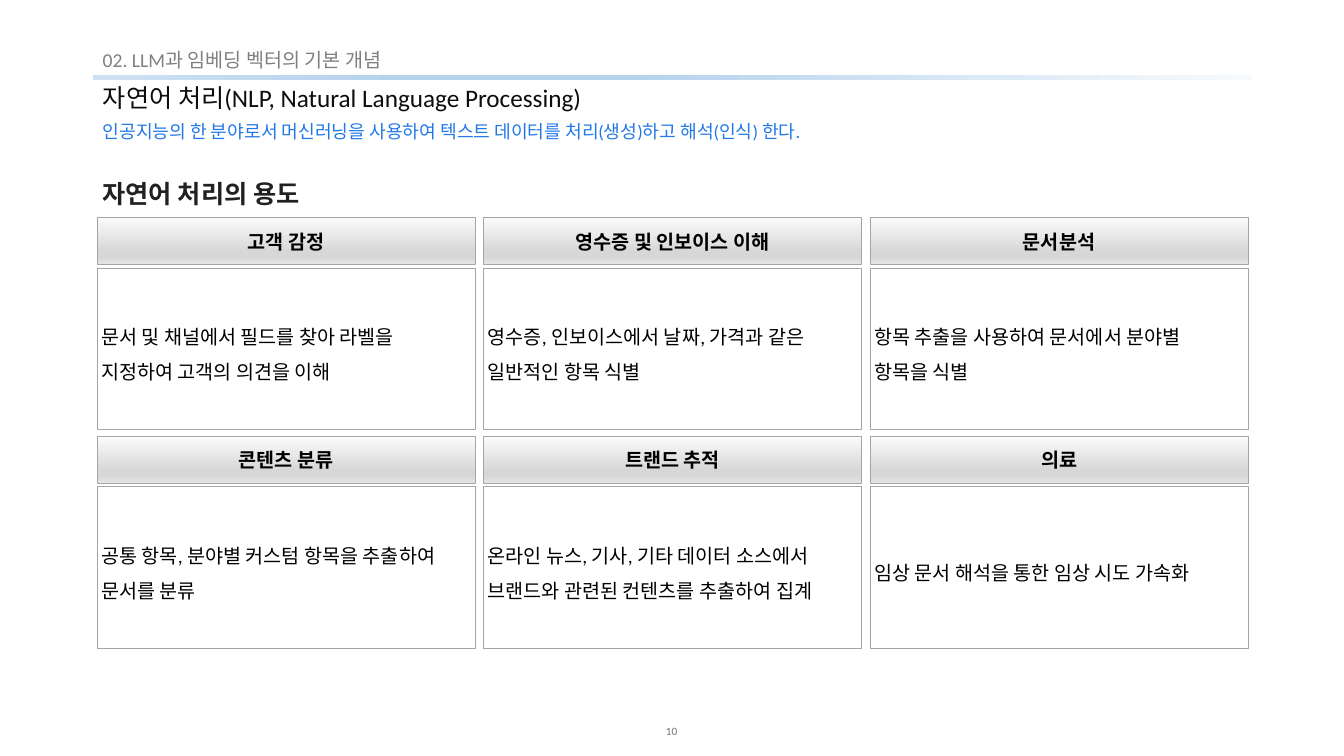
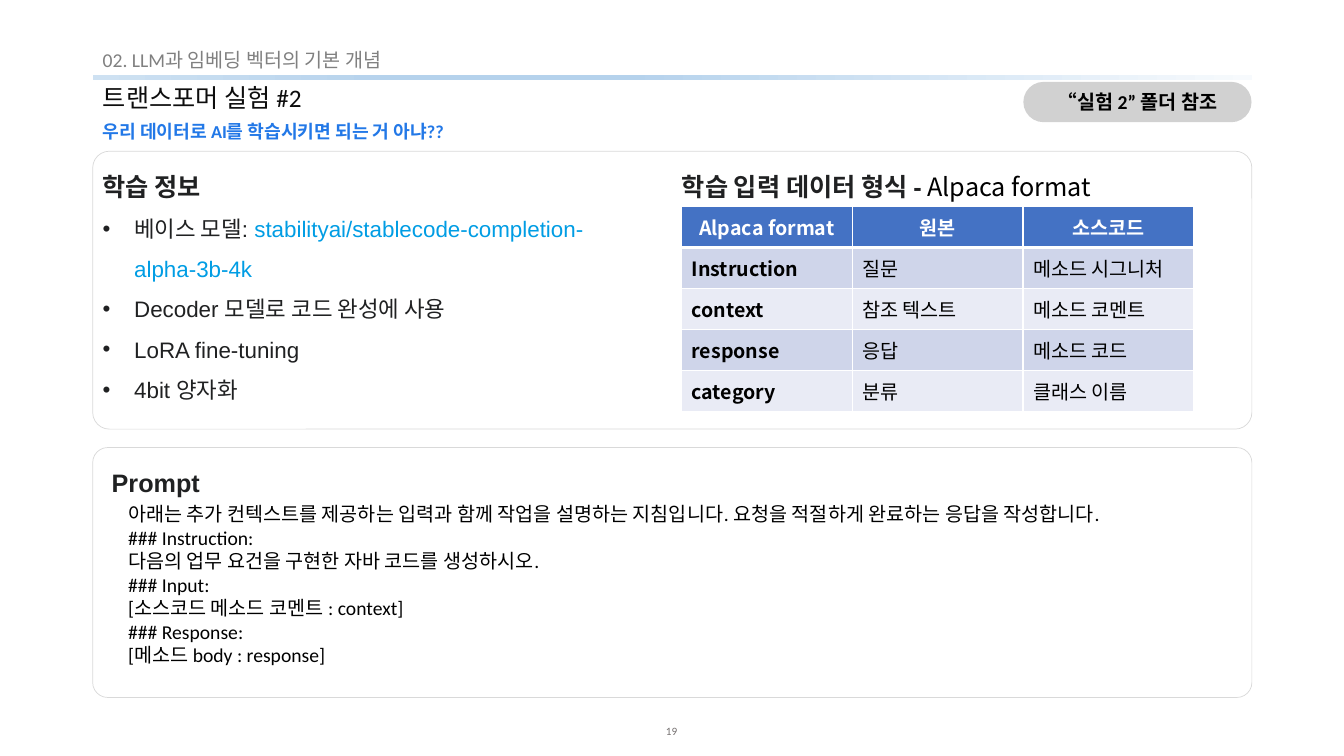
from dataclasses import dataclass
from itertools import product

from lxml import etree
from pptx import Presentation
from pptx.dml.color import RGBColor
from pptx.enum.shapes import MSO_SHAPE
from pptx.enum.text import MSO_ANCHOR, MSO_AUTO_SIZE, PP_ALIGN
from pptx.oxml.ns import qn
from pptx.util import Pt

RECT, ROUNDED = MSO_SHAPE.RECTANGLE, MSO_SHAPE.ROUNDED_RECTANGLE
LEFT, CENTER = PP_ALIGN.LEFT, PP_ALIGN.CENTER
TOP, MIDDLE = MSO_ANCHOR.TOP, MSO_ANCHOR.MIDDLE
NO_AUTOFIT = MSO_AUTO_SIZE.NONE

# Shared style
LATIN, HEADING_FONT, KOREAN = "Calibri", "Arial", "Noto Sans CJK KR"
BLACK, WHITE, INK, TITLE_INK = "000000", "FFFFFF", "202122", "0D0D0D"
SECTION_GREY, NUMBER_GREY, EDGE_GREY, PANEL_EDGE = "808080", "767171", "A5A5A5", "D9D9D9"
BLUE, MODEL_BLUE, TABLE_BLUE = "2278E7", "009DE4", "4472C4"
TABLE_BANDS = ("CFD5EA", "E9EBF5")
BAND_STOPS = ((0, "F7FAFD"), (54, "B5D2EC"), (73, "B5D2EC"), (100, "CEE1F2"))
CARD_STOPS = ((0, "FAFAFA"), (74, "D7D7D7"), (83, "D7D7D7"), (100, "E4E4E4"))
MARGIN, CONTENT_WIDTH = 66.25, 828
WIDE_INSETS, NARROW_INSETS = (7.2, 3.6, 7.2, 3.6), (2.88, 3.6, 2.88, 3.6)
SECTION = "02. LLM과 임베딩 벡터의 기본 개념"


@dataclass(frozen=True)
class Box:
    left: float
    top: float
    width: float
    height: float

    def lengths(self):
        return Pt(self.left), Pt(self.top), Pt(self.width), Pt(self.height)


@dataclass(frozen=True)
class Card:
    heading: str
    lines: tuple[str, ...]


CARDS = (
    Card("고객 감정", ("문서 및 채널에서 필드를 찾아 라벨을 지정하여 고객의 의견을 이해",)),
    Card("영수증 및 인보이스 이해", ("영수증, 인보이스에서 날짜, 가격과 같은 일반적인 항목 식별",)),
    Card("문서분석", ("항목 추출을 사용하여 문서에서 분야별", "항목을 식별")),
    Card("콘텐츠 분류", ("공통 항목, 분야별 커스텀 항목을 추출하여 문서를 분류",)),
    Card("트랜드 추적", ("온라인 뉴스, 기사, 기타 데이터 소스에서 브랜드와 관련된 컨텐츠를 추출하여 집계",)),
    Card("의료", ("임상 문서 해석을 통한 임상 시도 가속화",)),
)
FORMAT_ROWS = (
    ("Alpaca format", "원본", "소스코드"),
    ("Instruction", "질문", "메소드 시그니처"),
    ("context", "참조 텍스트", "메소드 코멘트"),
    ("response", "응답", "메소드 코드"),
    ("category", "분류", "클래스 이름"),
)
PROMPT_LINES = (
    "아래는 추가 컨텍스트를 제공하는 입력과 함께 작업을 설명하는 지침입니다. 요청을 적절하게 완료하는 응답을 작성합니다.",
    "### Instruction:",
    "다음의 업무 요건을 구현한 자바 코드를 생성하시오.",
    "### Input:",
    "[소스코드 메소드 코멘트 : context]",
    "### Response:",
    "[메소드 body : response]",
)


def rgb(color: str) -> RGBColor:
    return RGBColor.from_string(color)


def write(frame, text: str, *, size=14, color=BLACK, font=LATIN, bold=False,
          align=LEFT, spacing=1.0, bullet=False, same_line=False) -> None:
    """Add a paragraph, or continue the last one when same_line is set."""
    paragraph = frame.paragraphs[-1]
    if not same_line:
        if paragraph.runs:
            paragraph = frame.add_paragraph()
        paragraph.alignment = align
        paragraph.line_spacing = spacing
        paragraph.space_before = paragraph.space_after = Pt(0)
        if bullet:
            properties = paragraph._p.get_or_add_pPr()
            properties.set("marL", str(Pt(22.5)))
            properties.set("indent", str(Pt(-22.5)))
            etree.SubElement(properties, qn("a:buFont"), typeface=HEADING_FONT)
            etree.SubElement(properties, qn("a:buChar"), char="•")
    run = paragraph.add_run()
    run.text = text
    run.font.size, run.font.bold, run.font.name = Pt(size), bold, font
    run.font.color.rgb = rgb(color)
    etree.SubElement(run._r.get_or_add_rPr(), qn("a:ea"), typeface=KOREAN)


def setup_frame(frame, *, insets=WIDE_INSETS, anchor=TOP):
    frame.word_wrap, frame.auto_size = True, NO_AUTOFIT
    frame.vertical_anchor = anchor
    (frame.margin_left, frame.margin_top,
     frame.margin_right, frame.margin_bottom) = map(Pt, insets)
    return frame


def add_text(slide, box: Box, *, insets=WIDE_INSETS, anchor=TOP):
    return setup_frame(slide.shapes.add_textbox(*box.lengths()).text_frame,
                       insets=insets, anchor=anchor)


def add_heading(slide, box: Box, text: str):
    frame = add_text(slide, box)
    write(frame, text, size=18, color=INK, font=HEADING_FONT, bold=True, spacing=1.5)
    return frame


def add_shape(slide, box: Box, kind=RECT, *, fill=None, line=None, corner=None):
    shape = slide.shapes.add_shape(kind, *box.lengths())
    shape.shadow.inherit = False
    if corner is not None:
        shape.adjustments[0] = corner
    if fill:
        shape.fill.solid()
        shape.fill.fore_color.rgb = rgb(fill)
    else:
        shape.fill.background()
    if line:
        shape.line.color.rgb = rgb(line)
        shape.line.width = Pt(0.5)
    else:
        shape.line.fill.background()
    setup_frame(shape.text_frame, insets=NARROW_INSETS, anchor=MIDDLE)
    return shape


def apply_gradient(shape, stops, angle: int) -> None:
    shape.fill.gradient()
    shape.fill.gradient_angle = angle
    stop_list = shape._element.spPr.find(".//" + qn("a:gsLst"))
    for old_stop in list(stop_list):
        stop_list.remove(old_stop)
    for position, color in stops:
        stop = etree.SubElement(stop_list, qn("a:gs"), pos=str(position * 1000))
        etree.SubElement(stop, qn("a:srgbClr"), val=color)


def add_base_slide(deck, title: str, subtitle: str, number: int, *, bold_subtitle=False):
    """Create a slide with the band, title, section, subtitle and page number."""
    slide = deck.slides.add_slide(deck.slide_layouts[5])
    band = add_shape(slide, Box(MARGIN, 53.5, CONTENT_WIDTH, 3.6))
    apply_gradient(band, BAND_STOPS, 180)

    heading = slide.shapes.title
    (heading.left, heading.top,
     heading.width, heading.height) = Box(MARGIN, 57.4, CONTENT_WIDTH, 27.4).lengths()
    write(setup_frame(heading.text_frame, anchor=MIDDLE), title,
          size=18, color=TITLE_INK, spacing=0.9)

    write(add_text(slide, Box(MARGIN, 32.4, CONTENT_WIDTH, 23)), SECTION,
          color=SECTION_GREY, spacing=0.9)
    write(add_text(slide, Box(MARGIN, 84.4, CONTENT_WIDTH, 20)), subtitle,
          size=13, color=BLUE, bold=bold_subtitle, spacing=0.9)
    page = add_text(slide, Box(465.8, 509, 28, 28.8), insets=(0, 3.6, 0, 5.76), anchor=MIDDLE)
    write(page, str(number), size=8, color=NUMBER_GREY, align=CENTER)
    return slide


def add_card(slide, card: Card, left: float, top: float) -> None:
    header = add_shape(slide, Box(left, top, 270, 33.4), line=EDGE_GREY)
    apply_gradient(header, CARD_STOPS, 270)
    write(header.text_frame, card.heading, bold=True, align=CENTER)
    body = add_shape(slide, Box(left, top + 35.8, 270, 115.2), fill=WHITE, line=EDGE_GREY)
    for line in card.lines:
        write(body.text_frame, line, spacing=1.5)


def set_borders(cell, bottom: float) -> None:
    properties = cell._tc.get_or_add_tcPr()
    for side, width in (("lnL", 1), ("lnR", 1), ("lnT", 1), ("lnB", bottom)):
        border = etree.SubElement(properties, qn(f"a:{side}"), w=str(Pt(width)))
        fill = etree.SubElement(border, qn("a:solidFill"))
        etree.SubElement(fill, qn("a:srgbClr"), val=WHITE)


def add_format_table(slide) -> None:
    row_count, column_count = len(FORMAT_ROWS), len(FORMAT_ROWS[0])
    box = Box(486.8, 147.6, 366, 146.25)
    table = slide.shapes.add_table(row_count, column_count, *box.lengths()).table
    table.horz_banding = False
    for column in table.columns:
        column.width = Pt(box.width / column_count)
    for row in table.rows:
        row.height = Pt(box.height / row_count)
    for row, column in product(range(row_count), range(column_count)):
        cell, is_header = table.cell(row, column), row == 0
        set_borders(cell, bottom=3 if is_header else 1)
        cell.fill.solid()
        cell.fill.fore_color.rgb = rgb(TABLE_BLUE if is_header else TABLE_BANDS[(row - 1) % 2])
        cell.vertical_anchor = MIDDLE
        write(cell.text_frame, FORMAT_ROWS[row][column], font=KOREAN,
              color=WHITE if is_header else BLACK, bold=is_header or column == 0,
              align=CENTER if is_header else LEFT)


def build_uses_slide(deck) -> None:
    slide = add_base_slide(
        deck, "자연어 처리(NLP, Natural Language Processing)",
        "인공지능의 한 분야로서 머신러닝을 사용하여 텍스트 데이터를 처리(생성)하고 해석(인식) 한다.", 10)
    add_heading(slide, Box(MARGIN, 113, CONTENT_WIDTH, 36), "자연어 처리의 용도")
    for index, card in enumerate(CARDS):
        row, column = divmod(index, 3)
        add_card(slide, card, 69.3 + column * 276.1, 155.6 + row * 156.2)


def build_experiment_slide(deck) -> None:
    slide = add_base_slide(deck, "트랜스포머 실험 #2",
                           "우리 데이터로 AI를 학습시키면 되는 거 아냐??", 19, bold_subtitle=True)

    # Training facts
    training = add_heading(slide, Box(MARGIN, 108, 398, 181.5), "학습 정보")
    bullet_style = dict(size=16, color=INK, font=HEADING_FONT, spacing=1.5, bullet=True)
    write(training, "베이스 모델: ", **bullet_style)
    write(training, "stabilityai/stablecode-completion-alpha-3b-4k",
          size=16, color=MODEL_BLUE, font=HEADING_FONT, same_line=True)
    for fact in ("Decoder 모델로 코드 완성에 사용", "LoRA fine-tuning", "4bit 양자화"):
        write(training, fact, **bullet_style)

    # Input data format
    data_format = add_heading(slide, Box(480, 108, 414, 36), "학습 입력 데이터 형식 -")
    write(data_format, " Alpaca format", size=18, font=KOREAN, same_line=True)
    add_format_table(slide)

    # Prompt and panel outlines
    add_heading(slide, Box(72.7, 319.7, 414, 36), "Prompt")
    for top, height in ((319.7, 178.5), (108, 198.5)):
        add_shape(slide, Box(MARGIN, top, CONTENT_WIDTH, height), ROUNDED,
                  line=PANEL_EDGE, corner=0.06)
    prompt = add_text(slide, Box(88.6, 355, 760, 126), insets=NARROW_INSETS)
    for line in PROMPT_LINES:
        write(prompt, line)

    # Folder reference
    folder = add_shape(slide, Box(731, 58.5, 163, 28.8), ROUNDED, fill=EDGE_GREY, corner=0.5)
    fill_color = folder._element.spPr.find(f"{qn('a:solidFill')}/{qn('a:srgbClr')}")
    etree.SubElement(fill_color, qn("a:alpha"), val="50000")
    write(folder.text_frame, "“실험 2” 폴더 참조", bold=True, align=CENTER)


def main() -> None:
    deck = Presentation()
    deck.slide_width, deck.slide_height = Pt(960), Pt(540)
    build_uses_slide(deck)
    build_experiment_slide(deck)
    deck.save("out.pptx")


if __name__ == "__main__":
    main()
